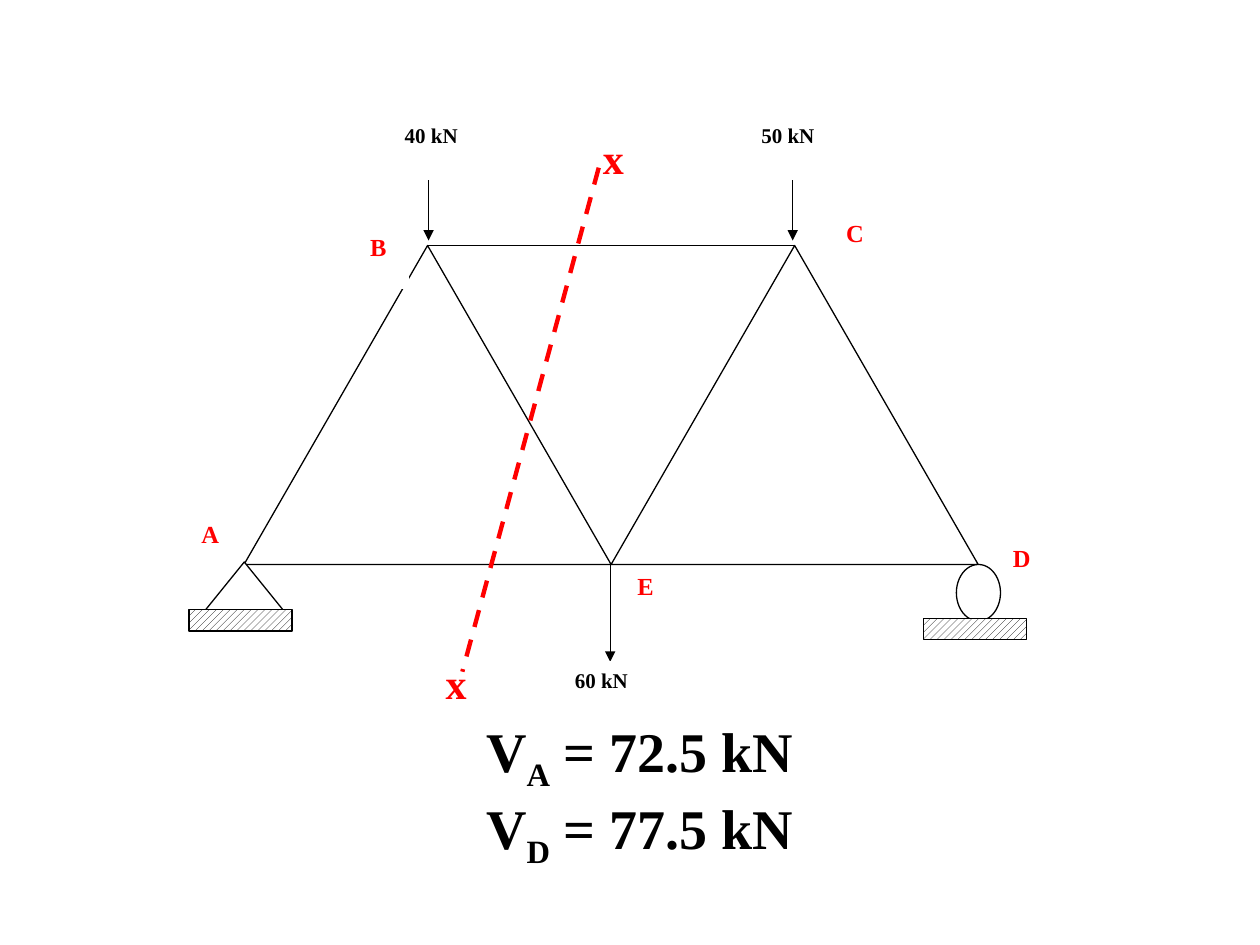
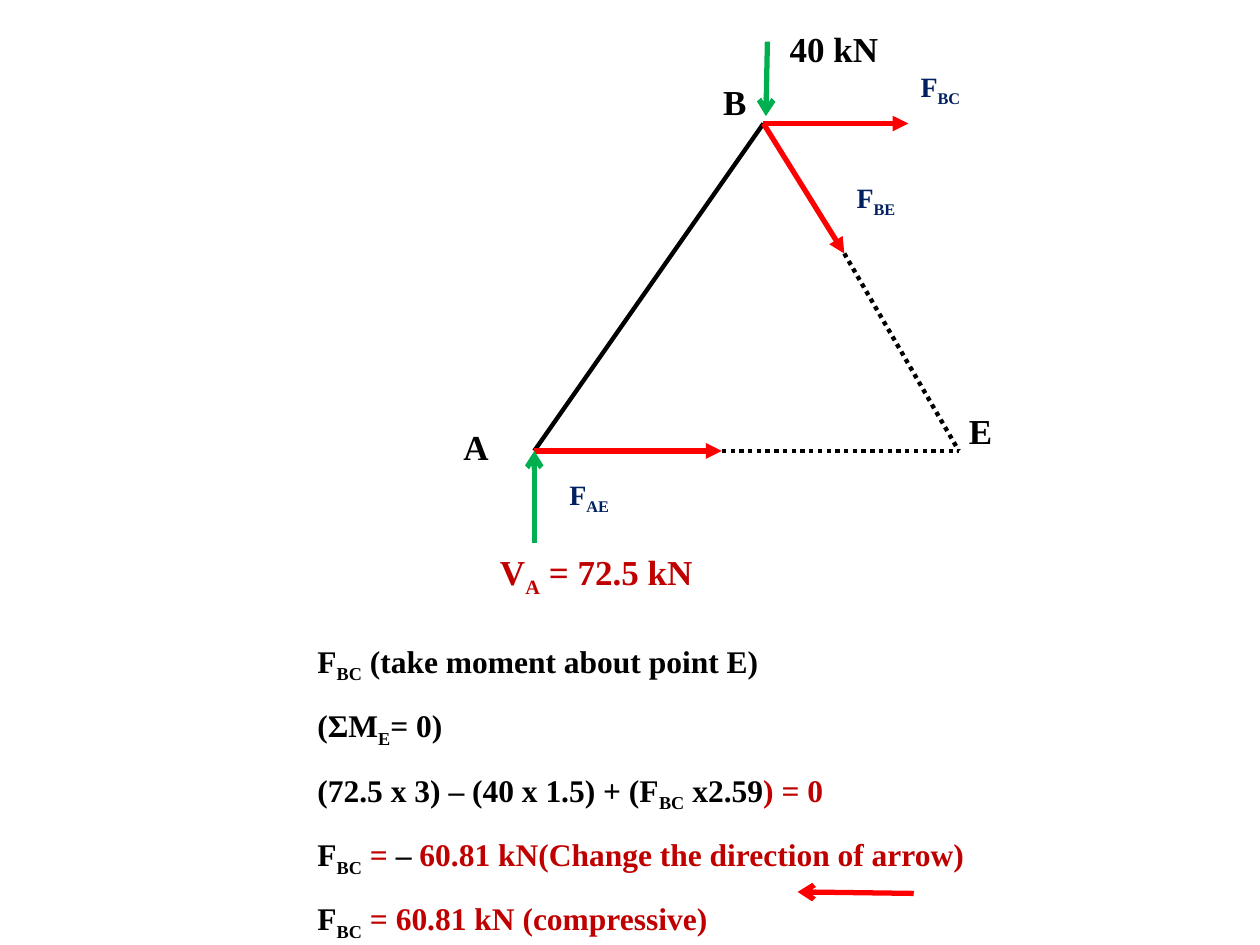
from lxml import etree
from pptx import Presentation
from pptx.dml.color import RGBColor
from pptx.enum.dml import MSO_LINE, MSO_PATTERN
from pptx.enum.shapes import MSO_CONNECTOR, MSO_SHAPE
from pptx.enum.text import MSO_ANCHOR, PP_ALIGN
from pptx.oxml.ns import qn
from pptx.util import Cm, Pt

BLACK = RGBColor(0x00, 0x00, 0x00)
WHITE = RGBColor(0xFF, 0xFF, 0xFF)
RED = RGBColor(0xFF, 0x00, 0x00)
DARK_RED = RGBColor(0xC0, 0x00, 0x00)
GREEN = RGBColor(0x00, 0xB0, 0x50)
NAVY = RGBColor(0x00, 0x20, 0x60)
FONT = "Times New Roman"
THIN = 0.75


def write_runs(paragraph, parts, size):
    """Write (text, colour) parts; text between underscores is subscript."""
    for text, color in parts:
        for index, piece in enumerate(text.split("_")):
            if not piece:
                continue
            run = paragraph.add_run()
            run.text = piece
            font = run.font
            font.name, font.size, font.bold = FONT, Pt(size), True
            font.color.rgb = color
            if index % 2:
                font._element.set("baseline", "-25000")


def add_text(slide, box, lines, size, align=PP_ALIGN.LEFT,
             anchor=MSO_ANCHOR.TOP, spacing=None):
    """Add a text box; each line is a list of (text, colour) parts."""
    shape = slide.shapes.add_textbox(*map(Cm, box))
    frame = shape.text_frame
    frame.word_wrap = True
    frame.vertical_anchor = anchor
    for index, parts in enumerate(lines):
        paragraph = frame.add_paragraph() if index else frame.paragraphs[0]
        paragraph.alignment = align
        if spacing:
            paragraph.line_spacing = spacing
        write_runs(paragraph, parts, size)


def add_outline(slide, kind, box, line_color=BLACK):
    """Add a white preset shape with a thin line."""
    shape = slide.shapes.add_shape(kind, *map(Cm, box))
    shape.shadow.inherit = False
    shape.fill.solid()
    shape.fill.fore_color.rgb = WHITE
    shape.line.color.rgb = line_color
    shape.line.width = Pt(THIN)
    return shape


def add_label(slide, box, text, size, color, align=PP_ALIGN.LEFT):
    """Add a white rectangle that masks what lies behind its text."""
    frame = add_outline(slide, MSO_SHAPE.RECTANGLE, box, WHITE).text_frame
    frame.word_wrap = True
    frame.vertical_anchor = MSO_ANCHOR.TOP
    frame.paragraphs[0].alignment = align
    write_runs(frame.paragraphs[0], [(text, color)], size)


def add_ground(slide, left, top):
    shape = add_outline(slide, MSO_SHAPE.RECTANGLE, (left, top, 2.08, 0.43))
    shape.fill.patterned()
    shape.fill.pattern = MSO_PATTERN.WIDE_UPWARD_DIAGONAL
    shape.fill.fore_color.rgb = BLACK
    shape.fill.back_color.rgb = WHITE


def add_line(slide, start, end, color=BLACK, width=THIN, dash=None, head=None):
    """Draw a line; head is the arrowhead type at its end."""
    connector = slide.shapes.add_connector(
        MSO_CONNECTOR.STRAIGHT, *map(Cm, (*start, *end)))
    connector.line.color.rgb = color
    connector.line.width = Pt(width)
    if dash:
        connector.line.dash_style = dash
    if head:
        etree.SubElement(connector.line._get_or_add_ln(), qn("a:tailEnd"), type=head)
    etree.SubElement(connector._element.spPr, qn("a:effectLst"))


def build_truss(slide):
    """Whole truss with its loads, supports and cutting section x-x."""
    add_text(slide, (1.47, 14.4, 22.86, 3.18),
             [[("V_A_ = 72.5 kN", BLACK)], [("V_D_ = 77.5 kN", BLACK)]],
             32, PP_ALIGN.CENTER, MSO_ANCHOR.MIDDLE)

    for text, box in (("D", (20.17, 10.82, 1.42, 1.5)),
                      ("E", (12.6, 11.38, 1.22, 1.35)),
                      ("A", (3.81, 10.34, 1.02, 1.04))):
        add_label(slide, box, text, 14, RED)

    panel, joint_a, top_chord, bottom_chord = 7.4, 4.92, 4.95, 11.38
    for index in range(2):
        add_outline(slide, MSO_SHAPE.ISOSCELES_TRIANGLE,
                    (joint_a + index * panel, top_chord,
                     panel, bottom_chord - top_chord))
    joint_b = joint_a + panel / 2
    add_line(slide, (joint_b, top_chord), (joint_b + panel, top_chord))
    for x, start, end in ((8.64, 2.74, 4.85), (15.98, 2.9, 4.85),
                          (12.3, bottom_chord, 13.34)):
        add_line(slide, (x, start), (x, end), head="triangle")

    add_outline(slide, MSO_SHAPE.ISOSCELES_TRIANGLE, (4.14, 11.33, 1.57, 0.97))
    add_outline(slide, MSO_SHAPE.OVAL, (19.28, bottom_chord, 0.89, 1.14))
    add_ground(slide, 3.81, 12.29)
    add_ground(slide, 18.62, 12.47)

    for text, left, top in (("40 kN", 7.21, 2.34), ("50 kN", 14.4, 2.34),
                            ("60 kN", 10.64, 13.34)):
        add_label(slide, (left, top, 2.97, 1.27), text, 12, BLACK, PP_ALIGN.CENTER)
    for text, box in (("B", (7.21, 4.55, 1.02, 1.27)),
                      ("C", (16.81, 4.27, 1.02, 1.32))):
        add_label(slide, box, text, 14, RED)

    add_line(slide, (12.07, 3.38), (9.32, 13.54), RED, 2.5, MSO_LINE.DASH)
    for left, top in ((11.63, 2.54), (8.46, 13.13)):
        add_text(slide, (left, top, 1.47, 1.27), [[("x", RED)]], 24, PP_ALIGN.CENTER)


def build_free_body(slide):
    """Left part of the cut truss and the moment equation about E."""
    for text, left, top in (("40 kN", 15.67, 0.43), ("E", 19.28, 8.13),
                            ("A", 9.09, 8.46), ("B", 14.33, 1.5)):
        add_label(slide, (left, top, 3.02, 1.47), text, 20, BLACK)

    force_size = (7.09, 1.93)
    for text, left, top in (("F_BE_", 17.02, 3.51), ("F_BC_", 18.31, 1.27),
                            ("F_AE_", 11.23, 9.5)):
        add_label(slide, (left, top, *force_size), text, 16, NAVY)

    joint_a, joint_b, joint_e = (10.77, 9.09), (15.39, 2.49), (19.33, 9.09)
    cut_ae, cut_be, cut_bc = (14.55, 9.09), (17.02, 5.11), (18.31, 2.49)
    add_line(slide, joint_b, joint_a, width=2.5)
    for joint, cut in ((joint_b, cut_be), (joint_b, cut_bc), (joint_a, cut_ae)):
        add_line(slide, joint, cut, RED, 3, head="triangle")
    for cut in (cut_ae, cut_be):
        add_line(slide, cut, joint_e, width=2.5, dash=MSO_LINE.ROUND_DOT)

    add_line(slide, (10.77, 11.2), joint_a, GREEN, 3, head="arrow")
    add_label(slide, (9.83, 10.97, *force_size), "V_A_ = 72.5 kN", 20, DARK_RED)
    add_line(slide, (15.47, 0.84), (15.44, 2.34), GREEN, 3, head="arrow")

    equations = [
        [("F_BC_ (take moment about point E)", BLACK)],
        [("(ΣM_E_= 0)", BLACK)],
        [("(72.5 x 3) – (40 x 1.5) + (F_BC_ x2.59", BLACK), (") = 0", DARK_RED)],
        [("F_BC_ ", BLACK), ("= ", DARK_RED), ("–", BLACK),
         (" 60.81 kN(Change the direction of arrow)", DARK_RED)],
        [("F_BC_ ", BLACK), ("= 60.81 kN (compressive)", DARK_RED)],
    ]
    add_text(slide, (6.15, 12.5, 15.67, 6.5), equations, 18,
             anchor=MSO_ANCHOR.MIDDLE, spacing=1.5)
    add_line(slide, (18.42, 18.01), (16.08, 17.98), RED, 3, head="arrow")


def main():
    presentation = Presentation()
    presentation.slide_width, presentation.slide_height = Cm(25.4), Cm(19.05)
    blank = presentation.slide_layouts[6]
    for build in (build_truss, build_free_body):
        build(presentation.slides.add_slide(blank))
    presentation.save("out.pptx")


if __name__ == "__main__":
    main()
